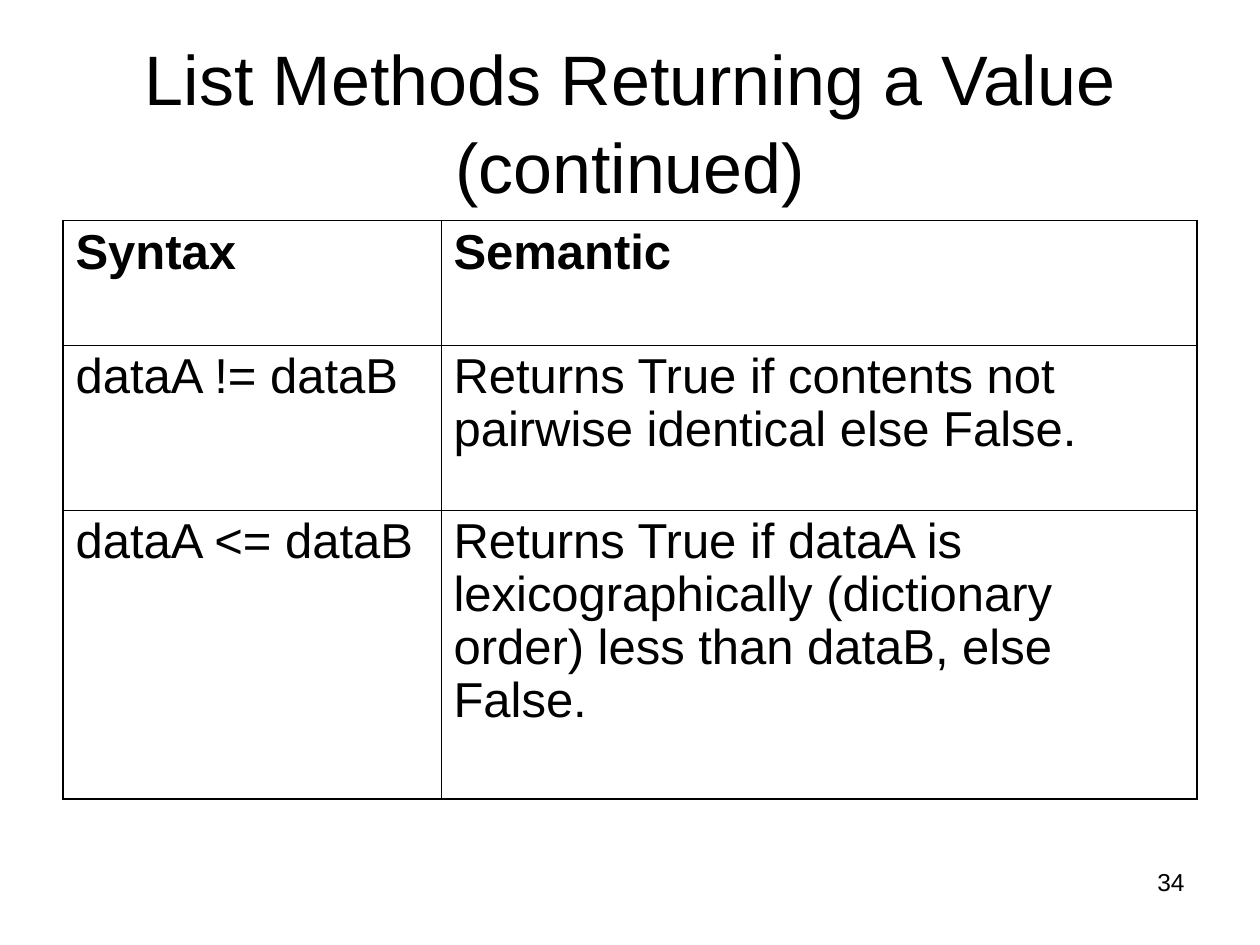
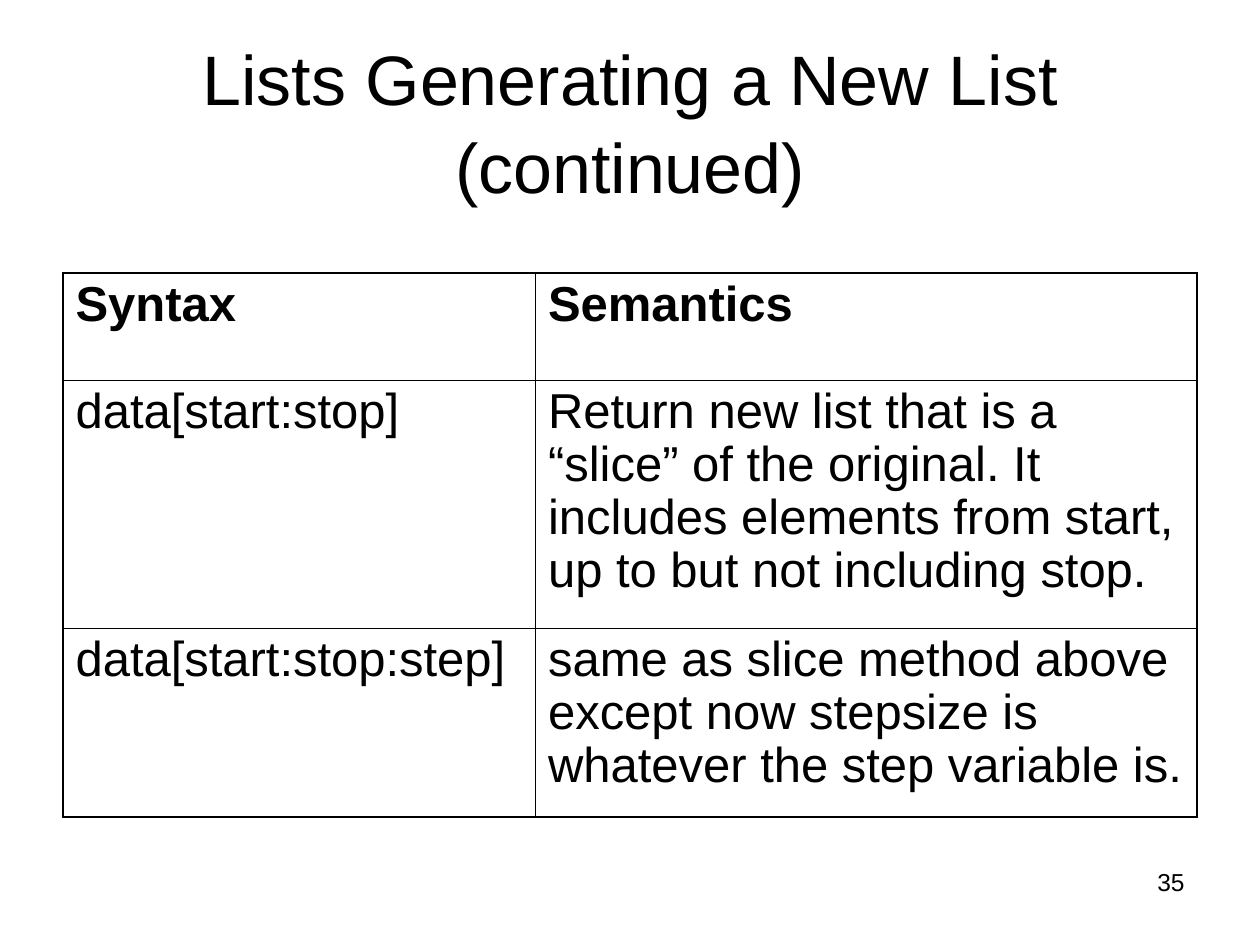
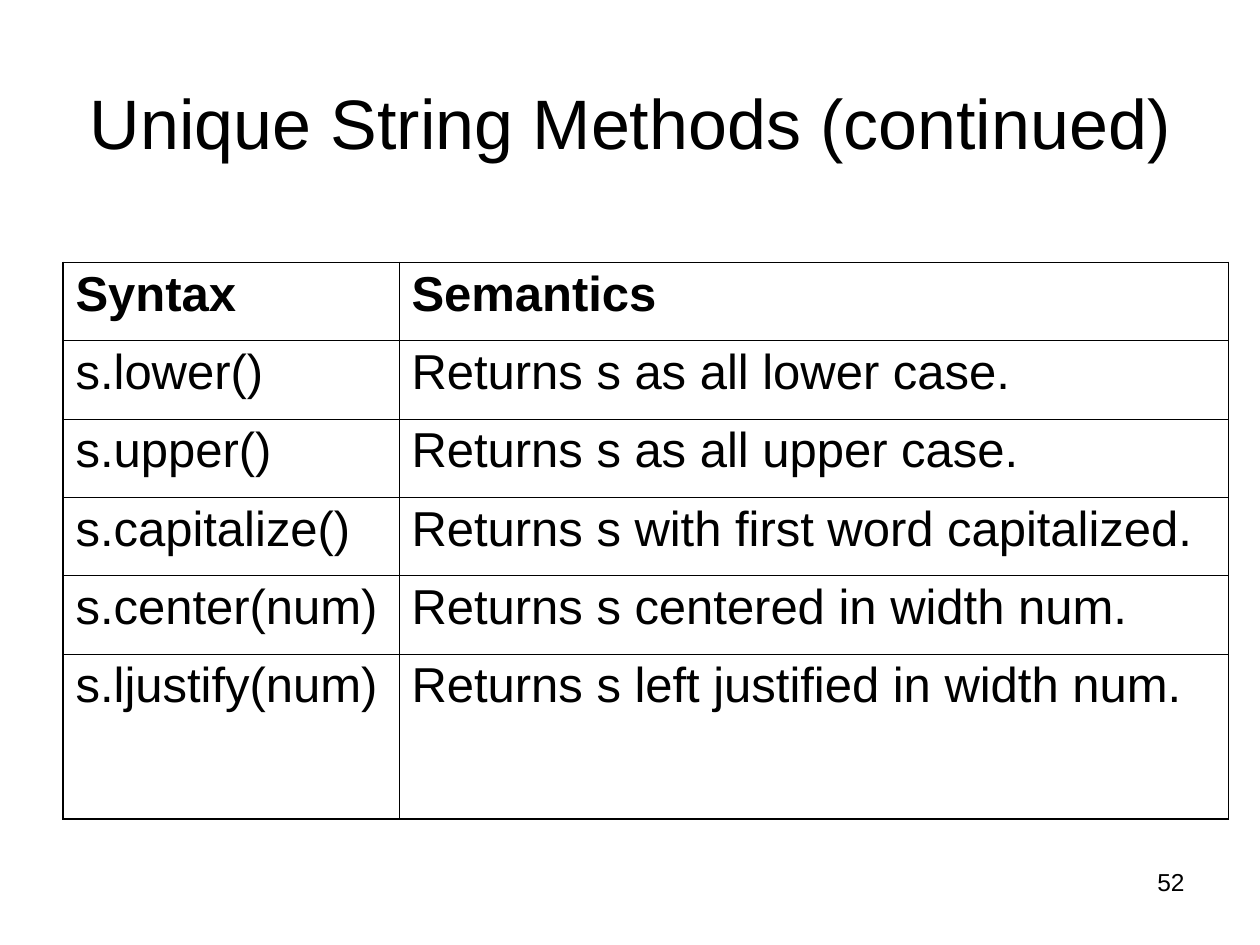
from lxml import etree
from pptx import Presentation
from pptx import util as u
from pptx.dml.color import RGBColor
from pptx.enum import text
from pptx.oxml.ns import qn

COLORS = {"ink": "000000", "page": "FFFFFF"}
OUTER, INNER = 1.08, 0.45


class Deck:
    """Holds the style and the current slide, on a grid of 120 columns by 90 rows."""

    font = "Arial"
    columns, rows = 120, 90

    def __init__(self, prs):
        self.prs = prs
        self.slide = None

    def x(self, n):
        return round(self.prs.slide_width * n / self.columns)

    def y(self, n):
        return round(self.prs.slide_height * n / self.rows)

    def box(self, left, top, width, height):
        return self.x(left), self.y(top), self.x(width), self.y(height)

    def add_text(self, tf, words, size, bold=False, align=text.PP_ALIGN.LEFT, spacing=1.0):
        p = tf.paragraphs[0]
        p.alignment = align
        p.line_spacing = spacing
        r = p.add_run()
        r.text = words
        r.font.name = self.font
        r.font.size = u.Pt(size)
        r.font.bold = bold
        r.font.color.rgb = RGBColor.from_string(COLORS["ink"])

    def new_slide(self, title, number):
        self.slide = self.prs.slides.add_slide(self.prs.slide_layouts[5])
        fill = self.slide.background.fill
        fill.solid()
        fill.fore_color.rgb = RGBColor.from_string(COLORS["page"])
        self.title(title)
        self.page_number(number)

    def title(self, words):
        sp = self.slide.shapes.title
        sp.left, sp.top, sp.width, sp.height = self.box(6, 3.6, 108, 15)
        tf = sp.text_frame
        tf.auto_size = text.MSO_AUTO_SIZE.NONE
        tf.word_wrap = True
        tf.vertical_anchor = text.MSO_ANCHOR.MIDDLE
        tf.margin_top, tf.margin_bottom = u.Inches(0.05), 0
        self.add_text(tf, words, 40, align=text.PP_ALIGN.CENTER, spacing=1.04)

    def page_number(self, number):
        tf = self.slide.shapes.add_textbox(*self.box(86, 82, 28, 6.25)).text_frame
        tf.word_wrap = True
        self.add_text(tf, str(number), 14, align=text.PP_ALIGN.RIGHT)

    def border(self, cell, widths):
        tc_pr = cell._tc.get_or_add_tcPr()
        for i, (side, width) in enumerate(zip("LRTB", widths)):
            ln = etree.Element(qn(f"a:ln{side}"), w=str(u.Pt(width)))
            fill = etree.SubElement(ln, qn("a:solidFill"))
            etree.SubElement(fill, qn("a:srgbClr"), val=COLORS["ink"])
            tc_pr.insert(i, ln)

    def table(self, top, widths, heights, data):
        frame = self.slide.shapes.add_table(
            len(data), len(widths), *self.box(6, top, sum(widths), sum(heights)))
        tbl = frame.table
        tbl.first_row = tbl.horz_banding = False
        for col, width in zip(tbl.columns, widths):
            col.width = self.x(width)
        last_row, last_col = len(data) - 1, len(widths) - 1
        for i, (row, height) in enumerate(zip(data, heights)):
            tbl.rows[i].height = self.y(height)
            for j, words in enumerate(row):
                cell = tbl.cell(i, j)
                cell.fill.background()
                edges = (j == 0, j == last_col, i == 0, i == last_row)
                self.border(cell, [OUTER if edge else INNER for edge in edges])
                self.add_text(cell.text_frame, words, 28, bold=i == 0, spacing=0.97)


def main():
    prs = Presentation()
    prs.slide_width, prs.slide_height = u.Inches(10), u.Inches(7.5)
    deck = Deck(prs)

    deck.new_slide("List Methods Returning a Value (continued)", 34)
    deck.table(21, [36, 72], [11.88, 15.72, 27.48], [
        ("Syntax", "Semantic"),
        ("dataA != dataB", "Returns True if contents not pairwise identical else False."),
        ("dataA <= dataB", "Returns True if dataA is lexicographically "
                           "(dictionary order) less than dataB, else False."),
    ])

    deck.new_slide("Lists Generating a New List (continued)", 35)
    deck.table(26, [45, 63], [10.2, 23.64, 18], [
        ("Syntax", "Semantics"),
        ("data[start:stop]", "Return new list that is a “slice” of the original. It "
                             "includes elements from start, up to but not including stop."),
        ("data[start:stop:step]", "same as slice method above except now stepsize is "
                                  "whatever the step variable is."),
    ])

    deck.new_slide("Unique String Methods (continued)", 52)
    deck.table(25, [32, 79], [7.46] * 5 + [15.72], [
        ("Syntax", "Semantics"),
        ("s.lower()", "Returns s as all lower case."),
        ("s.upper()", "Returns s as all upper case."),
        ("s.capitalize()", "Returns s with first word capitalized."),
        ("s.center(num)", "Returns s centered in width num."),
        ("s.ljustify(num)", "Returns s left justified in width num."),
    ])

    prs.save("out.pptx")


if __name__ == "__main__":
    main()
